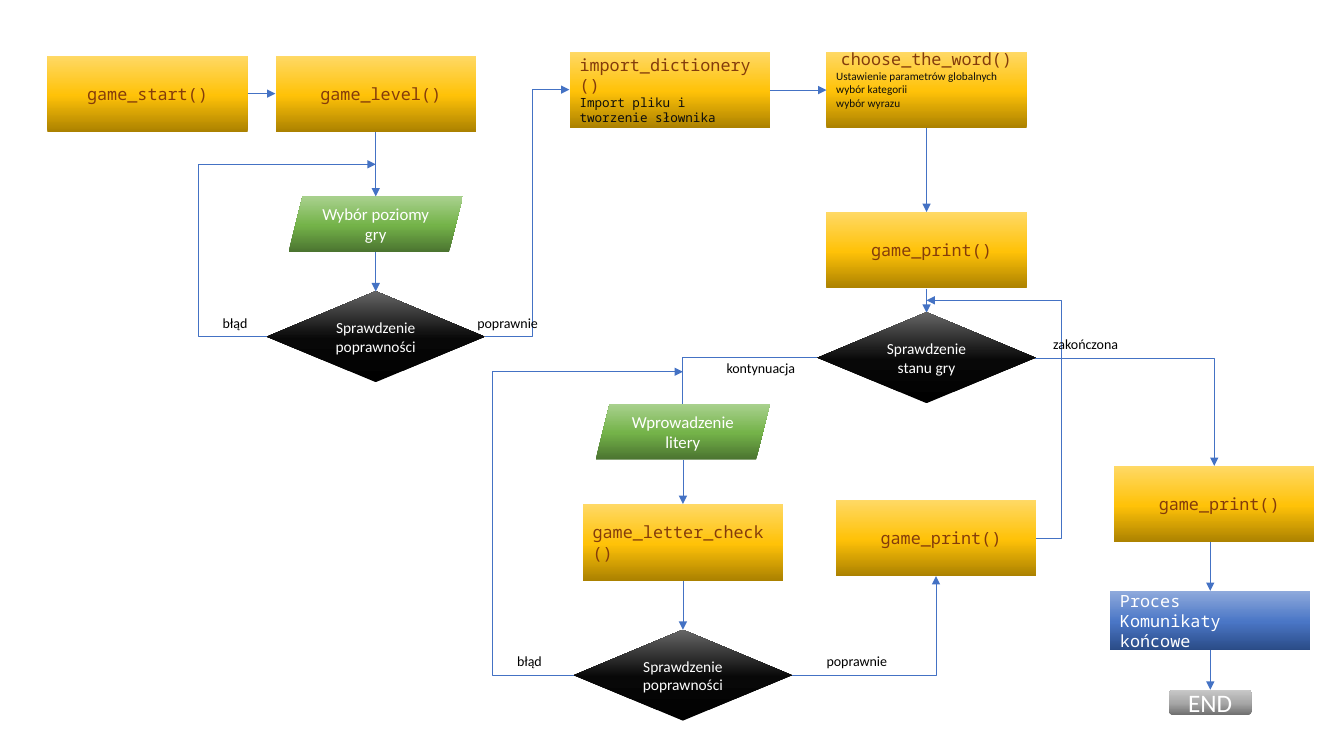
"""Build a one-page flowchart of a word guessing game."""
from copy import deepcopy

from lxml import etree
from pptx import Presentation
from pptx.dml.color import RGBColor
from pptx.enum.shapes import MSO_CONNECTOR, MSO_SHAPE
from pptx.enum.text import MSO_ANCHOR, PP_ALIGN
from pptx.oxml.ns import qn
from pptx.util import Cm, Pt

STRAIGHT, ELBOW = MSO_CONNECTOR.STRAIGHT, MSO_CONNECTOR.ELBOW
LEFT, CENTER = PP_ALIGN.LEFT, PP_ALIGN.CENTER
MIDDLE = MSO_ANCHOR.MIDDLE

COLORS = {
    "line": "4472C4", "white": "FFFFFF", "black": "000000",
    "brown": "843C0B", "ink": "0D0D0D",
}
GRADIENTS = {
    "gold": ("AB8100", "FFC208", "FFD966"),
    "green": ("4B7430", "74B349", "A9D18E"),
    "black": ("000000", "080808", "666666"),
    "blue": ("2A4B86", "4A76C6", "8FAADC"),
    "gray": ("6F6F6F", "A8A8A8", "C9C9C9"),
}
STOPS = (0, 0.48, 1)
MONO, SANS = "Noto Sans Mono", "Calibri"
TEXTS = {
    "call": ("brown", {"name": MONO, "size": Pt(12)}),
    "detail": ("ink", {"name": MONO, "size": Pt(9)}),
    "small": ("ink", {"name": SANS, "size": Pt(8)}),
    "input": ("white", {"name": SANS, "size": Pt(12)}),
    "check": ("white", {"name": SANS, "size": Pt(11)}),
    "process": ("white", {"name": MONO, "size": Pt(12)}),
    "end": ("white", {"name": SANS, "size": Pt(18)}),
    "label": ("black", {"name": SANS, "size": Pt(10)}),
}
NODES = {
    "call": (MSO_SHAPE.RECTANGLE, 5.05, 1.93, "gold"),
    "input": (MSO_SHAPE.PARALLELOGRAM, 4.39, 1.4, "green"),
    "check": (MSO_SHAPE.DIAMOND, 5.5, 2.29, "black"),
    "process": (MSO_SHAPE.RECTANGLE, 5.05, 1.5, "blue"),
    "end": (MSO_SHAPE.ROUNDED_RECTANGLE, 2.08, 0.64, "gray"),
}


def write(frame, lines):
    """Fill a text frame with (text, style, alignment) lines."""
    for index, (text, style, alignment) in enumerate(lines):
        para = frame.paragraphs[0] if index == 0 else frame.add_paragraph()
        para.alignment = alignment
        span = para.add_run()
        span.text = text
        color, formats = TEXTS[style]
        span.font.color.rgb = RGBColor.from_string(COLORS[color])
        for name, value in formats.items():
            setattr(span.font, name, value)


def paint(shape, gradient):
    """Give a shape a vertical three-stop gradient and no outline."""
    shape.shadow.inherit = False
    shape.line.fill.background()
    shape.fill.gradient()
    shape.fill.gradient_angle = 90
    stop_list = next(shape._element.spPr.iter(qn("a:gsLst")))
    stop_list.append(deepcopy(stop_list[-1]))
    for stop, position, color in zip(shape.fill.gradient_stops, STOPS, GRADIENTS[gradient]):
        stop.position = position
        stop.color.rgb = RGBColor.from_string(color)


def node(page, box, kind, center, top, *lines):
    """Add a flowchart node by its centre and top; plain strings are centred."""
    preset, width, height, gradient = NODES[kind]
    shape = page.shapes.add_shape(preset, Cm(box[0] + center - width / 2), Cm(box[1] + top),
                                  Cm(width), Cm(height))
    paint(shape, gradient)
    shape.text_frame.word_wrap = True
    shape.text_frame.vertical_anchor = MIDDLE
    write(shape.text_frame, [(line, kind, CENTER) if isinstance(line, str) else line
                             for line in lines])
    return shape


def label(page, box, text, left, top, width):
    """Add the caption of a branch."""
    caption = page.shapes.add_textbox(Cm(box[0] + left), Cm(box[1] + top), Cm(width), Cm(0.69))
    caption.text_frame.word_wrap = False
    write(caption.text_frame, [(text, "label", LEFT)])


def link(page, box, begin, end, arrow=True, turn=None):
    """Join two points by a line, a single bend, or a loop passing x = turn."""
    (start_x, start_y), (end_x, end_y) = begin, end
    bent = start_x != end_x and start_y != end_y
    connector = page.shapes.add_connector(
        ELBOW if bent else STRAIGHT, Cm(box[0] + start_x), Cm(box[1] + start_y),
        Cm(box[0] + end_x), Cm(box[1] + end_y))
    connector.line.color.rgb = RGBColor.from_string(COLORS["line"])
    connector.line.width = Pt(0.5)
    properties = connector._element.spPr
    geometry = properties.find(qn("a:prstGeom"))
    if turn is not None:
        ratio = round((turn - start_x) / (end_x - start_x) * 100000)
        etree.SubElement(geometry.find(qn("a:avLst")), qn("a:gd"),
                         name="adj1", fmla=f"val {ratio}")
    elif bent:
        geometry.set("prst", "bentConnector2")
    if arrow:
        etree.SubElement(properties.find(qn("a:ln")), qn("a:tailEnd"), type="triangle")
    etree.SubElement(properties, qn("a:effectLst"))


def level_region(page, box):
    """Draw the start of the game and the choice of level."""
    axis, merge, middle = 8.28, 2.74, 7.09
    node(page, box, "call", 2.53, 0, "game_start()")
    node(page, box, "call", axis, 0, "\u00a0game_level()")
    node(page, box, "input", axis, 3.55, "Wybór poziomy gry")
    node(page, box, "check", axis, 5.94, "Sprawdzenie poprawności")
    link(page, box, (5.05, 0.96), (5.75, 0.96))
    link(page, box, (axis, 1.93), (axis, 3.55))
    link(page, box, (axis, 4.95), (axis, 5.94))
    link(page, box, (5.53, middle), (3.81, merge), arrow=False)
    link(page, box, (3.81, merge), (axis, merge))
    link(page, box, (11.03, middle), (12.22, 0.86), arrow=False)
    link(page, box, (12.22, 0.86), (13.16, 0.86))
    label(page, box, "błąd", 4.17, 6.4, 1.14)
    label(page, box, "poprawnie", 10.59, 6.4, 2.06)


def setup_region(page, box):
    """Draw the dictionary import, the word choice and the first print."""
    axis = 9
    node(page, box, "call", 2.53, 0, ("import_dictionery()", "call", LEFT),
         ("Import pliku i tworzenie słownika", "detail", LEFT))
    details = ("Ustawienie parametrów globalnych", "wybór kategorii", "wybór wyrazu")
    word = node(page, box, "call", axis, 0, "choose_the_word()",
                *((text, "small", LEFT) for text in details))
    word.text_frame.margin_bottom = Cm(0.66)
    node(page, box, "call", axis, 4.04, "\u00a0game_print()")
    link(page, box, (5.05, 0.97), (6.48, 0.97))
    link(page, box, (axis, 1.93), (axis, 4.04))
    link(page, box, (axis, 5.97), (axis, 6.58))


def guess_region(page, box):
    """Draw the loop that reads and checks letters."""
    axis, state, middle = 4.81, 10.95, 9.14
    node(page, box, "check", state, 0, "Sprawdzenie stanu gry")
    node(page, box, "input", axis, 2.31, "Wprowadzenie litery")
    node(page, box, "call", axis, 4.83, ("game_letter_check()", "call", LEFT))
    node(page, box, "check", axis, 8, "Sprawdzenie poprawności")
    node(page, box, "call", 11.19, 4.72, "\u00a0game_print()")
    link(page, box, (8.2, 1.14), (axis, 2.31), arrow=False)
    link(page, box, (axis, 3.71), (axis, 4.83))
    link(page, box, (axis, 6.76), (axis, 8))
    link(page, box, (2.06, middle), (axis, 1.5), turn=0)
    link(page, box, (7.56, middle), (11.19, 6.65))
    link(page, box, (13.72, 5.69), (state, -0.3), turn=14.35)
    label(page, box, "błąd", 0.38, 8.46, 1.65)
    label(page, box, "poprawnie", 8.18, 8.46, 2.36)
    label(page, box, "kontynuacja", 5.66, 1.07, 2.29)
    label(page, box, "zakończona", 13.89, 0.46, 2.18)


def ending_region(page, box):
    """Draw the final print, the closing messages and the end."""
    axis = 2.53
    node(page, box, "call", 2.63, 2.72, "\u00a0game_print()")
    node(page, box, "process", axis, 5.87, ("Proces", "process", LEFT),
         ("Komunikaty końcowe", "process", LEFT))
    node(page, box, "end", axis, 8.36, "END")
    link(page, box, (-1.88, 0), (2.63, 2.72))
    link(page, box, (axis, 4.65), (axis, 5.87))
    link(page, box, (axis, 7.37), (axis, 8.36))


deck = Presentation()
deck.slide_width, deck.slide_height = Cm(33.87), Cm(19.05)
flowchart = deck.slides.add_slide(deck.slide_layouts[6])
level_region(flowchart, (1.19, 1.4))
setup_region(flowchart, (14.35, 1.3))
guess_region(flowchart, (12.4, 7.87))
ending_region(flowchart, (27.97, 9.02))
deck.save("out.pptx")
